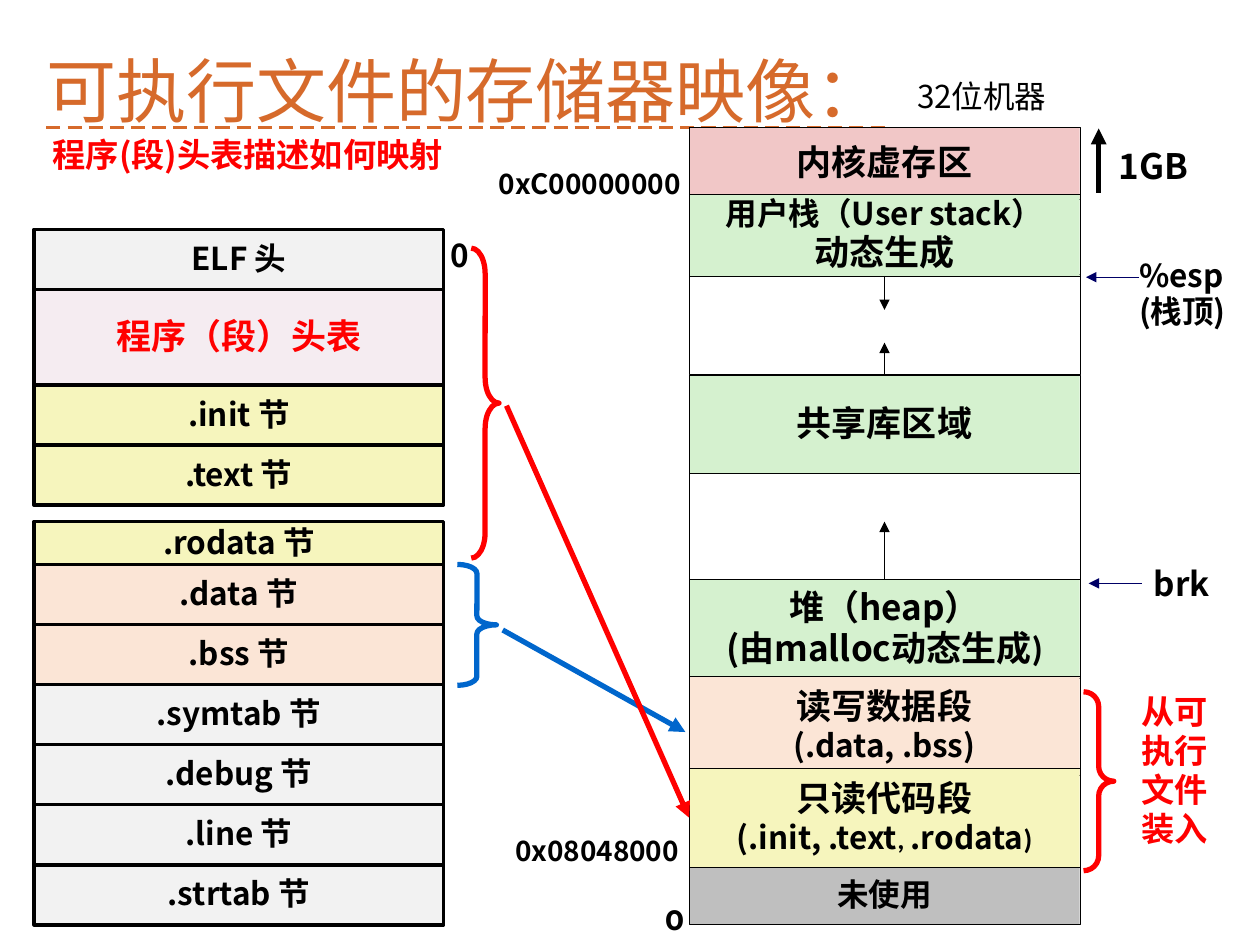
from lxml.etree import SubElement
from pptx import Presentation
from pptx.dml.color import RGBColor
from pptx.enum.shapes import MSO_CONNECTOR, MSO_SHAPE
from pptx.enum.text import MSO_ANCHOR, MSO_AUTO_SIZE, MSO_UNDERLINE, PP_ALIGN
from pptx.oxml.ns import qn
from pptx.util import Inches, Pt

# Grid of 100 columns by 75 rows: every position and size is counted in these cells.
CELL = Inches(10) / 100
SANS = "Noto Sans CJK SC"
BLACK, RED, BLUE, NAVY, ORANGE = "000000", "FF0000", "0066CC", "000066", "D66A2B"
GRAY, YELLOW, PEACH, GREEN, WHITE = "F2F2F2", "F6F5BD", "FBE5D6", "D5F1CF", "FFFFFF"

FILE_LEFT, FILE_WIDTH = 2.7, 32.5
MEMORY_LEFT, MEMORY_WIDTH = 54.7, 31
MEMORY_MIDDLE = MEMORY_LEFT + MEMORY_WIDTH / 2
ROW = (73.4 - 44.8) / 6

# Each block is a top edge and sections of (text, fill, height, size, colour).
FILE_BLOCKS = [
    (18.2, [
        ("ELF 头", GRAY, ROW, 18, BLACK),
        ("程序（段）头表", "993366", 7.6, 20, RED),
        (".init 节", YELLOW, ROW, 18, BLACK),
        (".text 节", YELLOW, ROW, 18, BLACK),
    ]),
    (41.4, [
        (".rodata 节", YELLOW, 3.4, 18, BLACK),
        (".data 节", PEACH, ROW, 18, BLACK),
        (".bss 节", PEACH, ROW, 18, BLACK),
        (".symtab 节", GRAY, ROW, 18, BLACK),
        (".debug 节", GRAY, ROW, 18, BLACK),
        (".line 节", GRAY, ROW, 18, BLACK),
        (".strtab 节", GRAY, ROW, 18, BLACK),
    ]),
]

# Region: name, top, height, fill, lines of (text, size, font) spans.
MEMORY_REGIONS = [
    ("gap below stack", 21.8, 7.9, WHITE, []),
    ("kernel", 10.1, 5.7, "F1C7C7", [[("内核虚存区", 20, SANS)]]),
    ("shared", 29.8, 7.8, GREEN, [[("共享库区域", 20, SANS)]]),
    ("gap above heap", 37.6, 8.4, WHITE, []),
    ("heap", 46, 7.8, GREEN, [
        [("堆（heap）", 20, SANS)],
        [("(由malloc动态生成", 20, SANS), (")", 20, "Calibri")]]),
    ("stack", 15.4, 6.5, GREEN, [
        [("用户栈（User stack）", 18, SANS)], [("动态生成", 20, "Calibri")]]),
    ("unused", 68.8, 4.6, "BFBFBF", [[("未使用", 18, SANS)]]),
    ("data", 53.7, 7.8, PEACH, [
        [("读写数据段", 20, SANS)], [("(.data, .bss)", 18, SANS)]]),
    ("code", 61, 7.8, YELLOW, [
        [("只读代码段", 20, SANS)],
        [("(.init, .text", 18, SANS), (", ", 16, "Calibri"),
         (".rodata", 18, SANS), (")", 16, "Calibri")]]),
]


def cells(*counts):
    return [round(count * CELL) for count in counts]


def color(hex_text):
    return RGBColor.from_string(hex_text)


def write(frame, lines, hex_text, bold=True, spacing=0.98, align=PP_ALIGN.LEFT):
    """Fill a text frame with lines, each a list of (text, size, font) spans."""
    frame.text = "\n".join(line[0][0] for line in lines)
    for para, line in zip(frame.paragraphs, lines):
        para.alignment = align
        para.line_spacing = spacing
        for text, _, _ in line[1:]:
            para.add_run().text = text
        for span, (_, size, font_name) in zip(para.runs, line):
            span.font.size = Pt(size)
            span.font.bold = bold
            span.font.name = font_name
            span.font.color.rgb = color(hex_text)
            SubElement(span.font._element, qn("a:ea"), typeface=SANS)


def add_label(page, place, texts, size, hex_text=BLACK, wrap=True, side=1,
              font_name=SANS, **style):
    box = page.shapes.add_textbox(*cells(*place))
    frame = box.text_frame
    frame.word_wrap = wrap
    frame.auto_size = MSO_AUTO_SIZE.SHAPE_TO_FIT_TEXT
    frame.margin_left, frame.margin_right = cells(side, side)
    write(frame, [[(text, size, font_name)] for text in texts], hex_text, **style)
    return box


def add_section(page, place, fill, line_width, lines, hex_text=BLACK):
    box = page.shapes.add_shape(MSO_SHAPE.RECTANGLE, *cells(*place))
    box.shadow.inherit = False
    box.fill.solid()
    box.fill.fore_color.rgb = color(fill)
    box.line.color.rgb = color(BLACK)
    box.line.width = Pt(line_width)
    if lines:
        box.text_frame.word_wrap = False
        box.text_frame.vertical_anchor = MSO_ANCHOR.MIDDLE
        write(box.text_frame, lines, hex_text, align=PP_ALIGN.CENTER)
    return box


def set_opacity(box, percent):
    tint = box._element.spPr.find(qn("a:solidFill"))[0]
    SubElement(tint, qn("a:alpha"), val=str(percent * 1000))


def add_brace(page, place, curve, hex_text):
    brace = page.shapes.add_shape(MSO_SHAPE.RIGHT_BRACE, *cells(*place))
    brace.shadow.inherit = False
    brace.adjustments[0] = curve
    brace.fill.background()
    brace.line.color.rgb = color(hex_text)
    brace.line.width = Pt(3)


def add_arrow(page, start, end, hex_text=BLACK, width=0.25):
    arrow = page.shapes.add_connector(MSO_CONNECTOR.STRAIGHT, *cells(*start, *end))
    arrow.line.color.rgb = color(hex_text)
    arrow.line.width = Pt(width)
    SubElement(arrow.line._get_or_add_ln(), qn("a:tailEnd"), type="triangle")
    SubElement(arrow._element.spPr, qn("a:effectLst"))
    return arrow


def add_heading(page):
    title = add_label(page, (2.7, 2.7, 83, 8.3), ["可执行文件的存储器映像："], 40,
                      ORANGE, bold=False, spacing=0.9)
    title.text_frame.auto_size = MSO_AUTO_SIZE.NONE
    title.text_frame.vertical_anchor = MSO_ANCHOR.BOTTOM
    title.text_frame.paragraphs[0].runs[0].font.underline = MSO_UNDERLINE.DASH_LINE
    add_label(page, (3.2, 10.2, 35.7, 4.2), ["程序(段)头表描述如何映射"], 19, RED,
              spacing=1.0)
    add_label(page, (71.8, 5.6, 13.6, 4), ["32位机器"], 18, bold=False, spacing=1.0)


def add_file_sections(page):
    for top, sections in FILE_BLOCKS:
        for text, fill, height, size, hex_text in sections:
            box = add_section(page, (FILE_LEFT, top, FILE_WIDTH, height), fill, 2,
                              [[(text, size, SANS)]], hex_text)
            if hex_text == RED:
                set_opacity(box, 9)
            top += height
    add_label(page, (34.8, 18.4, 3.5, 4), ["0"], 18)


def add_memory_regions(page):
    """Draw the address space and return its boxes by name."""
    regions = {}
    for name, top, height, fill, lines in MEMORY_REGIONS:
        regions[name] = add_section(
            page, (MEMORY_LEFT, top, MEMORY_WIDTH, height), fill, 0.25, lines)
    for name, site, start, end in [("heap", 0, 46, 41.4), ("shared", 0, 29.8, 27.2),
                                   ("stack", 2, 21.9, 24.6)]:
        arrow = add_arrow(page, (MEMORY_MIDDLE, start), (MEMORY_MIDDLE, end))
        arrow.begin_connect(regions[name], site)
    return regions


def add_memory_notes(page):
    add_label(page, (38.6, 12.9, 17.1, 3.5), ["0xC00000000"], 16, wrap=False, spacing=0.94)
    add_label(page, (39.9, 65.9, 15.6, 3.5), ["0x08048000"], 16, wrap=False, spacing=0.94)
    add_label(page, (51.8, 71.3, 3.5, 3.6), ["0"], 16, wrap=False, font_name="Montserrat")
    add_label(page, (90.4, 20.1, 8, 6.8), ["%esp", "(栈顶)"], 18, side=0, spacing=0.94)
    add_label(page, (90.6, 44.5, 6.4, 4), ["brk"], 19, wrap=False, spacing=0.94)
    add_label(page, (87.8, 11, 9.2, 4.3), ["1GB"], 20, spacing=1.0)
    add_label(page, (89.6, 54.5, 8.2, 13.4), ["从可执行文件装入"], 19, RED,
              font_name="Calibri")
    add_arrow(page, (90.4, 22), (86.2, 22), NAVY)
    add_arrow(page, (90.6, 46.3), (86.4, 46.3), NAVY)
    add_arrow(page, (87.2, 15.3), (87.2, 10.2), width=3)
    add_brace(page, (86, 54.9, 2.4, 14.2), 0.49, RED)


def add_mappings(page, regions):
    add_arrow(page, (39.9, 50), (54.4, 58.1), BLUE, 3)
    add_brace(page, (36.3, 44.8, 3.1, 9.6), 0.23, BLUE)
    code_arrow = add_arrow(page, (40.2, 32.2), (MEMORY_LEFT, 64.9), RED, 3)
    code_arrow.end_connect(regions["code"], 1)
    add_brace(page, (37.4, 19.7, 2.2, 24.6), 0.92, RED)


def main():
    deck = Presentation()
    deck.slide_width, deck.slide_height = cells(100, 75)
    page = deck.slides.add_slide(deck.slide_layouts[6])
    add_heading(page)
    regions = add_memory_regions(page)
    add_memory_notes(page)
    add_file_sections(page)
    add_mappings(page, regions)
    deck.save("out.pptx")


if __name__ == "__main__":
    main()
